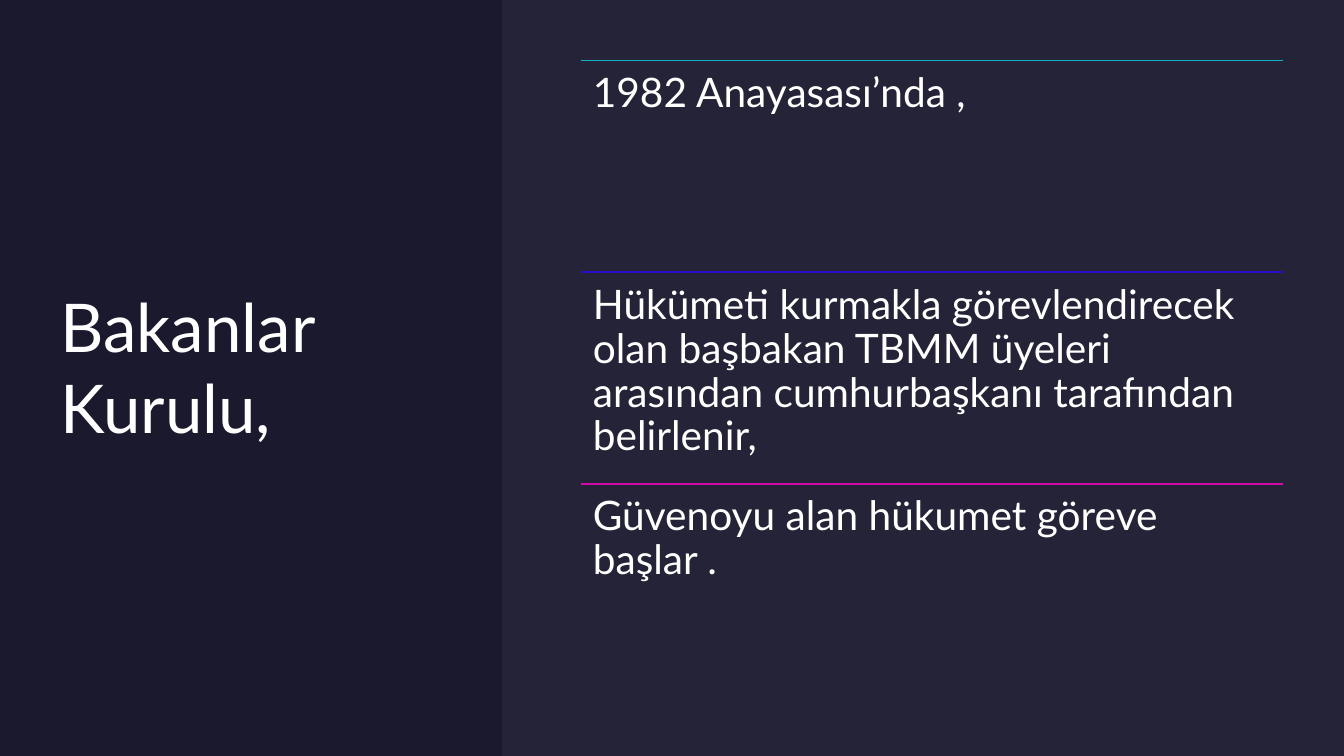
import pptx
import pptx.util
import pptx.dml.color
import pptx.enum.shapes
import pptx.enum.text
import pptx.oxml.ns
import lxml.etree

COL, ROW = 0.12, 0.3
WIDE, HIGH = 13.33 / COL, 7.5 / ROW


def tint(code):
    return pptx.dml.color.RGBColor.from_string(code)


def across(cols):
    return pptx.util.Inches(cols * COL)


def down(rows):
    return pptx.util.Inches(rows * ROW)


class Deck:
    font = "Lato"
    ink = "FFFFFF"
    dark = "1B192E"

    def __init__(self):
        self.show = pptx.Presentation()
        self.show.slide_width = across(WIDE)
        self.show.slide_height = down(HIGH)
        self.slide = self.show.slides.add_slide(self.show.slide_layouts[6])
        fill = self.slide.background.fill
        fill.solid()
        fill.fore_color.rgb = tint(self.dark)

    def panel(self, left, top, width, height, color, alpha=100):
        shape = self.slide.shapes.add_shape(
            pptx.enum.shapes.MSO_SHAPE.RECTANGLE,
            across(left), down(top), across(width), down(height))
        shape.shadow.inherit = False
        shape.line.fill.background()
        shape.fill.solid()
        shape.fill.fore_color.rgb = tint(color)
        if alpha < 100:
            tone = shape.fill._xPr.find(".//" + pptx.oxml.ns.qn("a:srgbClr"))
            lxml.etree.SubElement(
                tone, pptx.oxml.ns.qn("a:alpha"), val=str(alpha * 1000))

    def rule(self, left, top, width, color):
        line = self.slide.shapes.add_connector(
            pptx.enum.shapes.MSO_CONNECTOR.STRAIGHT,
            across(left), down(top), across(left + width), down(top))
        line.line.color.rgb = tint(color)
        line.line.width = pptx.util.Pt(1)
        lxml.etree.SubElement(
            line._element.spPr, pptx.oxml.ns.qn("a:effectLst"))

    def text(self, left, top, width, height, words, size,
             inset=0, space=1.0, anchor="TOP"):
        box = self.slide.shapes.add_textbox(
            across(left), down(top), across(width), down(height))
        frame = box.text_frame
        frame.word_wrap = True
        frame.vertical_anchor = pptx.enum.text.MSO_ANCHOR[anchor]
        frame.margin_left = frame.margin_right = across(inset)
        frame.margin_top = frame.margin_bottom = across(inset)
        para = frame.paragraphs[0]
        para.text = words
        para.line_spacing = space
        para.font.name = self.font
        para.font.size = pptx.util.Pt(size)
        para.font.color.rgb = tint(self.ink)


def main():
    deck = Deck()
    deck.panel(0, 0, WIDE, HIGH, deck.dark)
    deck.text(5, 2, 32.5, 20.2, "Bakanlar Kurulu,", 48, anchor="MIDDLE")
    deck.panel(41.5, 0, WIDE - 41.5, HIGH, "E4E3F0", 5)

    points = [
        ("12B1BF", "1982 Anayasası’nda ,"),
        ("2A0EC9", "Hükümeti kurmakla görevlendirecek olan başbakan TBMM "
                   "üyeleri arasından cumhurbaşkanı tarafından belirlenir,"),
        ("D40AA8", "Güvenoyu alan hükumet göreve başlar ."),
    ]
    left, width, step = 48, 58.08, 7
    for index, (color, words) in enumerate(points):
        top = 2 + index * step
        deck.rule(left, top, width, color)
        deck.text(left, top, width, step, words, 29, inset=1, space=0.9)

    deck.show.save("out.pptx")


if __name__ == "__main__":
    main()
